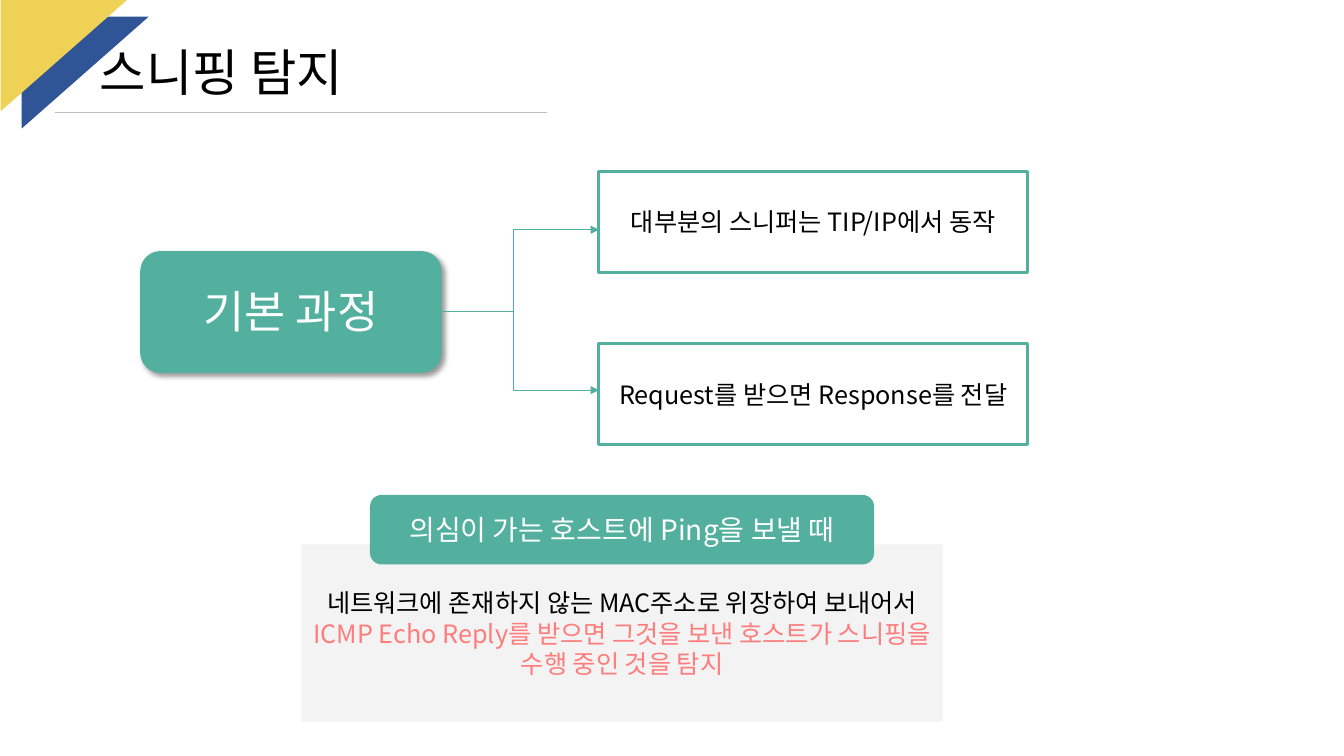
from lxml.etree import SubElement
from pptx import Presentation
from pptx.dml.color import RGBColor
from pptx.enum.shapes import MSO_CONNECTOR, MSO_SHAPE
from pptx.enum.text import MSO_ANCHOR, MSO_AUTO_SIZE, PP_ALIGN
from pptx.oxml.ns import qn
from pptx.util import Inches, Pt

FONT = "Noto Sans CJK KR"
GREEN = "53B09E"
BLACK = "000000"
WHITE = "FFFFFF"


def tint(text):
    return RGBColor.from_string(text)


def place(shape, box):
    shape.left, shape.top, shape.width, shape.height = map(Inches, box)


def write(shape, lines, size=18, color=BLACK, align=PP_ALIGN.CENTER,
          anchor=MSO_ANCHOR.MIDDLE, fit=MSO_AUTO_SIZE.NONE, space=None):
    frame = shape.text_frame
    frame.word_wrap = True
    frame.auto_size = fit
    frame.vertical_anchor = anchor
    for i, line in enumerate(lines):
        text, hue = line if isinstance(line, tuple) else (line, color)
        par = frame.paragraphs[0] if i == 0 else frame.add_paragraph()
        par.alignment = align
        par.line_spacing = space
        run = par.add_run()
        run.text = text
        run.font.size = Pt(size)
        run.font.name = FONT
        run.font.color.rgb = tint(hue)
        SubElement(run.font._element, qn("a:ea"), typeface=FONT)


def block(slide, kind, box, fill, edge=None, turn=0):
    shape = slide.shapes.add_shape(kind, *map(Inches, box))
    shape.shadow.inherit = False
    shape.rotation = turn
    shape.fill.solid()
    shape.fill.fore_color.rgb = tint(fill)
    if edge:
        shape.line.color.rgb = tint(edge)
        shape.line.width = Pt(2.25)
    else:
        shape.line.fill.background()
    return shape


def shade(shape):
    effects = shape._element.spPr.find(qn("a:effectLst"))
    outer = SubElement(effects, qn("a:outerShdw"), blurRad=str(Pt(4)),
                       dist=str(Pt(3)), dir="2700000", algn="tl",
                       rotWithShape="0")
    color = SubElement(outer, qn("a:srgbClr"), val=BLACK)
    SubElement(color, qn("a:alpha"), val="40000")


def link(slide, kind, start, end, color, heads=False):
    line = slide.shapes.add_connector(kind, *map(Inches, start + end))
    line.line.color.rgb = tint(color)
    line.line.width = Pt(0.5)
    if heads:
        for tag in ("a:headEnd", "a:tailEnd"):
            SubElement(line.line._get_or_add_ln(), qn(tag), type="triangle")
    SubElement(line._element.spPr, qn("a:effectLst"))


def main():
    deck = Presentation()
    deck.slide_width, deck.slide_height = Inches(13.33), Inches(7.5)
    slide = deck.slides.add_slide(deck.slide_layouts[5])

    panel = block(slide, MSO_SHAPE.RECTANGLE, (2.99, 5.4, 6.36, 1.76), "F3F3F3")
    write(panel, ["네트워크에 존재하지 않는 MAC주소로 위장하여 보내어서",
                  ("ICMP Echo Reply를 받으면 그것을 보낸 호스트가 스니핑을", "FF7C7C"),
                  ("수행 중인 것을 탐지", "FF7C7C")])

    corner = MSO_SHAPE.RIGHT_TRIANGLE
    block(slide, corner, (0.29, 0.09, 1.11, 1.26), "2F5597", turn=90)
    title = slide.shapes.title
    slide.shapes._spTree.append(title._element)
    place(title, (0.89, 0.39, 4.21, 0.71))
    write(title, ["스니핑 탐지"], size=36, align=PP_ALIGN.LEFT, space=0.9)
    block(slide, corner, (0.08, -0.08, 1.11, 1.26), "EFD155", turn=90)
    link(slide, MSO_CONNECTOR.STRAIGHT, (0.55, 1.11), (5.43, 1.11), "BFBFBF")

    root = block(slide, MSO_SHAPE.ROUNDED_RECTANGLE, (1.39, 2.49, 2.99, 1.21), GREEN)
    shade(root)
    label = slide.shapes.add_textbox(*map(Inches, (1.39, 2.77, 2.99, 0.64)))
    write(label, ["기본 과정"], size=32, color=WHITE, anchor=MSO_ANCHOR.TOP,
          fit=MSO_AUTO_SIZE.SHAPE_TO_FIT_TEXT)

    steps = [(1.7, 2.28, "대부분의 스니퍼는 TIP/IP에서 동작"),
             (3.41, 3.87, "Request를 받으면 Response를 전달")]
    for top, tip, text in steps:
        link(slide, MSO_CONNECTOR.ELBOW, (4.24, 3.09), (5.94, tip), GREEN, heads=True)
        step = block(slide, MSO_SHAPE.RECTANGLE, (5.94, top, 4.25, 1), WHITE, edge=GREEN)
        write(step, [text])

    head = block(slide, MSO_SHAPE.ROUNDED_RECTANGLE, (3.67, 4.91, 5, 0.69), GREEN)
    write(head, ["의심이 가는 호스트에 Ping을 보낼 때"], size=20, color=WHITE)
    deck.save("out.pptx")


if __name__ == "__main__":
    main()
